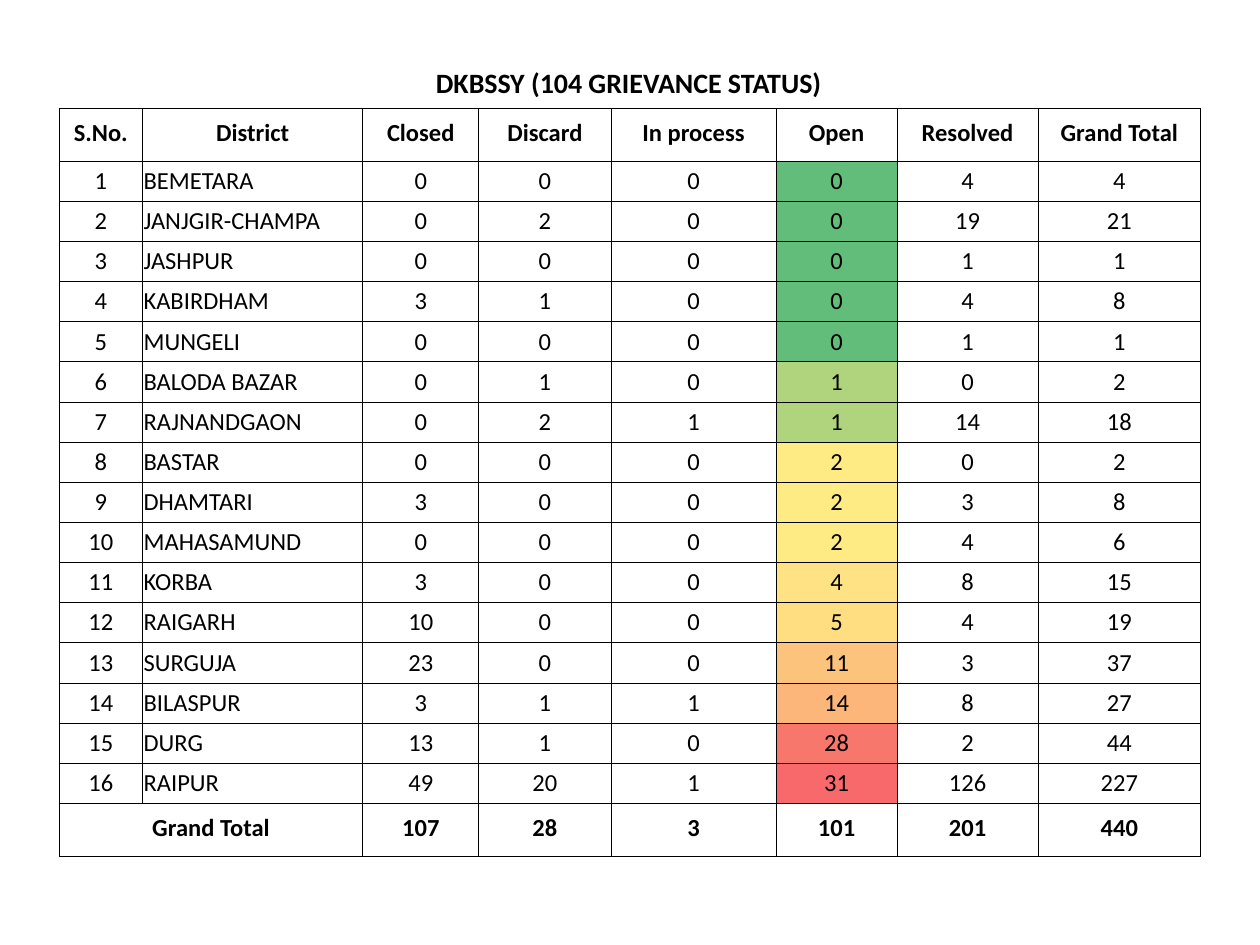
"""Build a one-slide table of grievance status by district."""
from dataclasses import dataclass, field
from lxml.etree import SubElement as Sub
from pptx import Presentation
from pptx.dml.color import RGBColor as Rgb
from pptx.enum.text import MSO_ANCHOR as Anchor, MSO_AUTO_SIZE as Fit, PP_ALIGN as Align
from pptx.oxml.ns import qn
from pptx.util import Inches, Pt


@dataclass
class Theme:
    font: str = "Calibri"
    ink: str = "000000"
    title: int = 16
    body: int = 14
    line: float = 0.5
    heat: dict = field(default_factory=lambda: {
        0: "62BD7A", 1: "B0D37E", 2: "FFEB84", 4: "FFE283", 5: "FFDE82",
        11: "FCC37C", 14: "FCB679", 28: "F8776D", 31: "F8696B"})


theme = Theme()


def style(para, size, bold, align):
    para.alignment = align
    for run in para.runs:
        font = run.font
        font.name, font.size, font.bold = theme.font, Pt(size), bold
        font.color.rgb = Rgb.from_string(theme.ink)


def border(cell):
    props = cell._tc.get_or_add_tcPr()
    for side in ("a:lnL", "a:lnR", "a:lnT", "a:lnB"):
        line = Sub(props, qn(side), w=str(Pt(theme.line)))
        fill = Sub(line, qn("a:solidFill"))
        Sub(fill, qn("a:srgbClr"), val=theme.ink)


heads = ["S.No.", "District", "Closed", "Discard", "In process", "Open",
         "Resolved", "Grand Total"]
data = [
    ("BEMETARA", 0, 0, 0, 0, 4),
    ("JANJGIR-CHAMPA", 0, 2, 0, 0, 19),
    ("JASHPUR", 0, 0, 0, 0, 1),
    ("KABIRDHAM", 3, 1, 0, 0, 4),
    ("MUNGELI", 0, 0, 0, 0, 1),
    ("BALODA BAZAR", 0, 1, 0, 1, 0),
    ("RAJNANDGAON", 0, 2, 1, 1, 14),
    ("BASTAR", 0, 0, 0, 2, 0),
    ("DHAMTARI", 3, 0, 0, 2, 3),
    ("MAHASAMUND", 0, 0, 0, 2, 4),
    ("KORBA", 3, 0, 0, 4, 8),
    ("RAIGARH", 10, 0, 0, 5, 4),
    ("SURGUJA", 23, 0, 0, 11, 3),
    ("BILASPUR", 3, 1, 1, 14, 8),
    ("DURG", 13, 1, 0, 28, 2),
    ("RAIPUR", 49, 20, 1, 31, 126),
]
body = [[num, name, *vals, sum(vals)] for num, (name, *vals) in enumerate(data, 1)]
sums = [sum(col) for col in list(zip(*body))[2:]]
grid = [heads, *body, ["Grand Total", "", *sums]]
last = len(grid) - 1
widths = [0.66, 1.75, 0.92, 1.05, 1.31, 0.96, 1.12, 1.29]
high, low = Inches(0.42), Inches(5.1) // len(data)

deck = Presentation()
deck.slide_width, deck.slide_height = Inches(10), Inches(7.5)
slide = deck.slides.add_slide(deck.slide_layouts[5])

title = slide.shapes.title
title.left, title.top = Inches(3.45), Inches(0.51)
title.width, title.height = Inches(3.1), Inches(0.29)
frame = title.text_frame
frame.text = "DKBSSY (104 GRIEVANCE STATUS)"
frame.word_wrap, frame.auto_size = True, Fit.NONE
frame.vertical_anchor = Anchor.TOP
frame.margin_left = frame.margin_top = Inches(0.01)
frame.margin_right = frame.margin_bottom = 0
style(frame.paragraphs[0], theme.title, True, Align.LEFT)

table = slide.shapes.add_table(
    len(grid), len(heads), Inches(0.47), Inches(0.86), Inches(sum(widths)),
    2 * high + low * len(data)).table
table.first_row = table.horz_banding = False
for col, width in zip(table.columns, widths):
    col.width = Inches(width)

for r, vals in enumerate(grid):
    edge = r in (0, last)
    table.rows[r].height = high if edge else low
    for c, val in enumerate(vals):
        cell = table.cell(r, c)
        name = c == 1 and not edge
        cell.text_frame.text = str(val)
        cell.margin_left = Inches(0.01) if name else 0
        cell.margin_right = cell.margin_bottom = 0
        cell.margin_top = Inches(0.08 if edge else 0.04)
        style(cell.text_frame.paragraphs[0], theme.body, edge,
              Align.LEFT if name else Align.CENTER)
        border(cell)
        if heads[c] == "Open" and not edge:
            cell.fill.solid()
            cell.fill.fore_color.rgb = Rgb.from_string(theme.heat[val])
        else:
            cell.fill.background()
table.cell(last, 0).merge(table.cell(last, 1))

deck.save("out.pptx")
